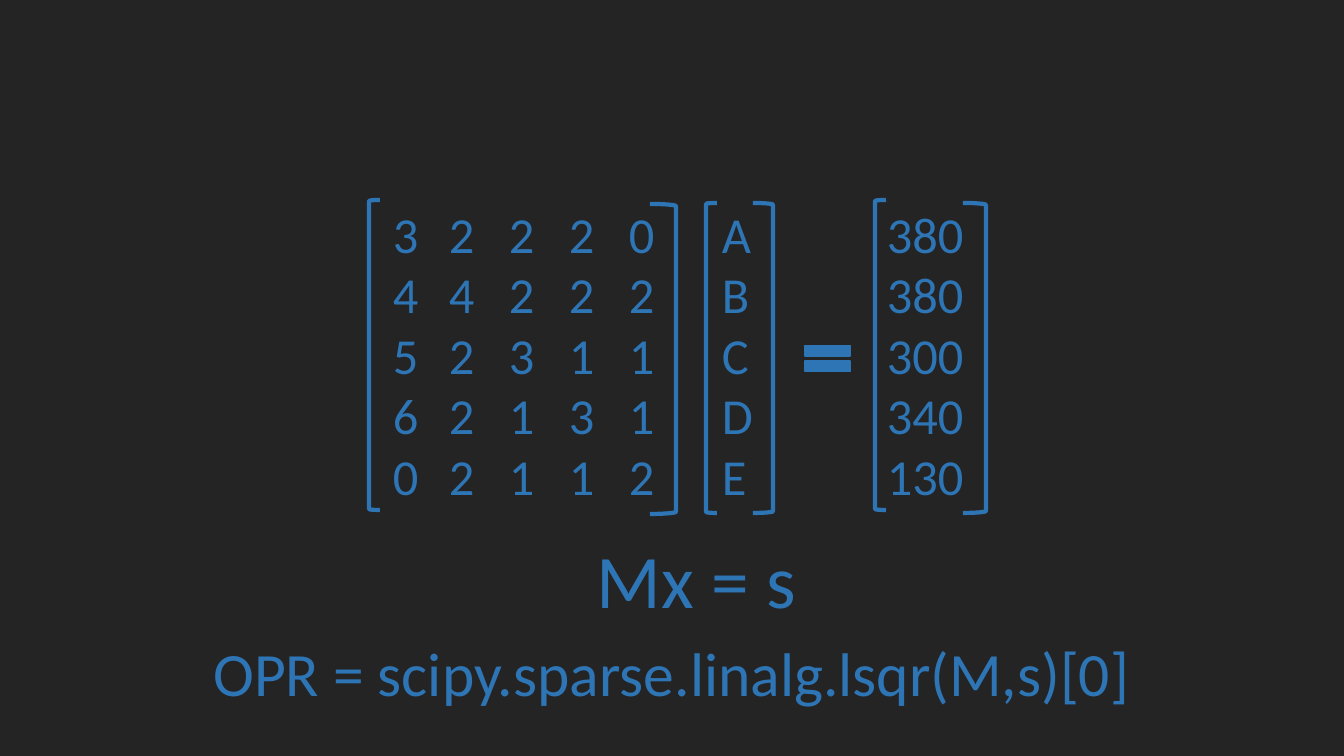
"""Build a slide showing a matrix equation and its solver call."""
from lxml.etree import SubElement
from pptx import Presentation
from pptx.dml.color import RGBColor
from pptx.enum.shapes import MSO_SHAPE
from pptx.enum.text import PP_ALIGN
from pptx.oxml.ns import qn
from pptx.util import Pt

PX = 914400 / 100.8
WIDE, HIGH = 1344, 756
BACK, BLUE = "242424", "2E75B6"
FONT = "Calibri"

MATRIX = [
    (3, 2, 2, 2, 0),
    (4, 4, 2, 2, 2),
    (5, 2, 3, 1, 1),
    (6, 2, 1, 3, 1),
    (0, 2, 1, 1, 2),
]
TEAMS = "ABCDE"
SCORES = [380, 380, 300, 340, 130]
TABS = [56, 116, 176, 236, 329, 494]

LEFT, RIGHT = MSO_SHAPE.LEFT_BRACKET, MSO_SHAPE.RIGHT_BRACKET
BRACKETS = [
    (LEFT, 369, 200, 11),
    (RIGHT, 650, 204, 26),
    (LEFT, 706, 203, 11),
    (RIGHT, 753, 203, 20),
    (LEFT, 875, 200, 11),
    (RIGHT, 963, 203, 23),
]
TALL = 310


def emu(*sizes):
    return [round(size * PX) for size in sizes]


def color(code):
    return RGBColor.from_string(code)


def add_text(slide, box, lines, size, align=PP_ALIGN.LEFT, tabs=()):
    frame = slide.shapes.add_textbox(*emu(*box)).text_frame
    frame.word_wrap = True
    for i, line in enumerate(lines):
        para = frame.add_paragraph() if i else frame.paragraphs[0]
        para.text = line
        para.alignment = align
        font = para.font
        font.name, font.size = FONT, Pt(size)
        font.color.rgb = color(BLUE)
        if tabs:
            stops = SubElement(para._p.get_or_add_pPr(), qn("a:tabLst"))
            stops.getparent().insert(0, stops)
            for pos in emu(*tabs):
                SubElement(stops, qn("a:tab"), pos=str(pos), algn="l")


def add_shape(slide, kind, box, weight):
    shape = slide.shapes.add_shape(kind, *emu(*box))
    shape.shadow.inherit = False
    shape.line.color.rgb = color(BLUE)
    shape.line.width = Pt(weight)
    return shape


def main():
    deck = Presentation()
    deck.slide_width, deck.slide_height = emu(WIDE, HIGH)
    slide = deck.slides.add_slide(deck.slide_layouts[6])
    fill = slide.background.fill
    fill.solid()
    fill.fore_color.rgb = color(BACK)

    rows = [
        "\t".join(map(str, (*row, team, score)))
        for row, team, score in zip(MATRIX, TEAMS, SCORES)
    ]
    add_text(slide, (383, 198, 764, 316), rows, 36, tabs=TABS)
    for kind, left, top, width in BRACKETS:
        add_shape(slide, kind, (left, top, width, TALL), 3).fill.background()
    equal = add_shape(slide, MSO_SHAPE.MATH_EQUAL, (797, 336, 61, 45), 1)
    equal.fill.solid()
    equal.fill.fore_color.rgb = color(BLUE)

    add_text(slide, (587, 528, 248, 102), ["Mx = s"], 54)
    call = "OPR = scipy.sparse.linalg.lsqr(M,s)[0]"
    add_text(slide, (0, 630, WIDE, 85), [call], 44, PP_ALIGN.CENTER)
    deck.save("out.pptx")


if __name__ == "__main__":
    main()
